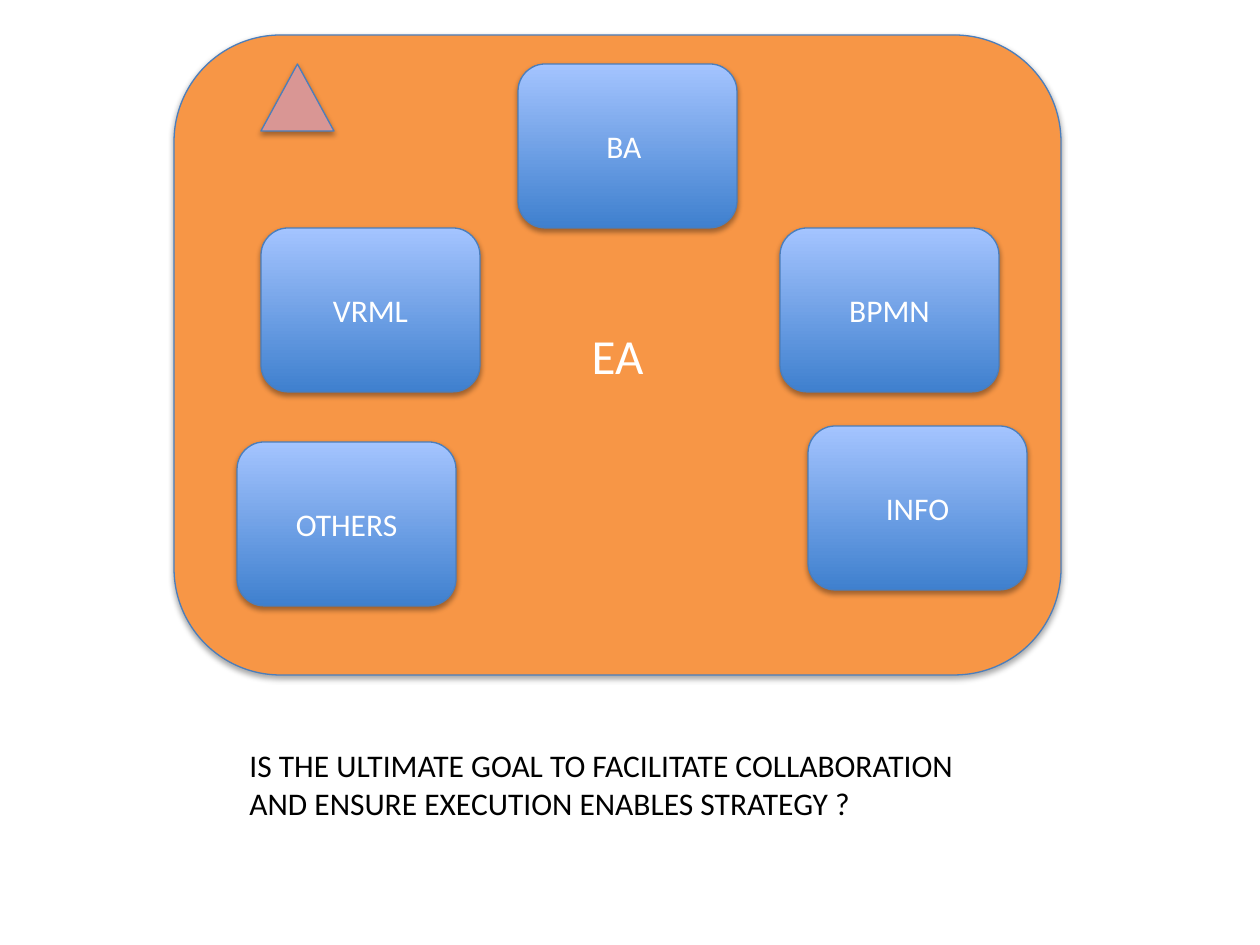
from dataclasses import dataclass

from lxml.etree import SubElement
from pptx import Presentation
from pptx.dml.color import RGBColor
from pptx.enum.shapes import MSO_SHAPE as Shape
from pptx.enum.text import MSO_ANCHOR as Anchor, MSO_AUTO_SIZE as AutoSize, PP_ALIGN as Align
from pptx.oxml.ns import qn
from pptx.util import Emu, Pt

PX = 914400 / 126


@dataclass(frozen=True)
class Theme:
    font: str = "Calibri"
    panel: str = "F79646"
    marker: str = "D99694"
    card_bottom: str = "3F80CE"
    card_top: str = "A4C4FF"
    outline: str = "4B7EBC"
    light: str = "FFFFFF"
    dark: str = "000000"
    heading: int = 28
    body: int = 18


THEME = Theme()
CARD_SIZE = (219, 164)
CARDS = [
    ("BA ", 518, 64),
    ("INFO", 808, 426),
    ("VRML", 261, 228),
    ("BPMN", 780, 228),
    ("OTHERS", 237, 442),
]


def px(*lengths):
    return [Emu(round(length * PX)) for length in lengths]


def rgb(color):
    return RGBColor.from_string(color)


def apply_format(target, values):
    for name, value in values.items():
        setattr(target, name, value)


def write_text(shape, text, size, color, align, frame_format):
    frame = shape.text_frame
    apply_format(frame, {"word_wrap": True, **frame_format})
    paragraph = frame.paragraphs[0]
    paragraph.alignment = align
    run = paragraph.add_run()
    run.text = text
    apply_format(run.font, {"name": THEME.font, "size": Pt(size)})
    run.font.color.rgb = rgb(color)


def add_shadow(shape):
    shape.shadow.inherit = False
    effects = shape._element.spPr.find(qn("a:effectLst"))
    shadow = SubElement(effects, qn("a:outerShdw"), blurRad="40000", dist="23000",
                        dir="5400000", rotWithShape="0")
    color = SubElement(shadow, qn("a:srgbClr"), val=THEME.dark)
    SubElement(color, qn("a:alpha"), val="35000")


def fill_gradient(shape, start, end):
    shape.fill.gradient()
    shape.fill.gradient_angle = 90
    for stop, color in zip(shape.fill.gradient_stops, (start, end)):
        stop.color.rgb = rgb(color)


def add_block(slide, preset, box, fill=None, text=None, size=THEME.body):
    """Add an outlined, shadowed shape; without a fill colour it gets the card gradient."""
    shape = slide.shapes.add_shape(preset, *px(*box))
    if fill:
        shape.fill.solid()
        shape.fill.fore_color.rgb = rgb(fill)
    else:
        fill_gradient(shape, THEME.card_bottom, THEME.card_top)
    shape.line.color.rgb = rgb(THEME.outline)
    shape.line.width = Pt(0.75)
    add_shadow(shape)
    if text:
        write_text(shape, text, size, THEME.light, Align.CENTER,
                   {"vertical_anchor": Anchor.MIDDLE})


def add_question(slide, box, text):
    shape = slide.shapes.add_textbox(*px(*box))
    write_text(shape, text, THEME.body, THEME.dark, Align.LEFT,
               {"auto_size": AutoSize.SHAPE_TO_FIT_TEXT})


def main():
    presentation = Presentation()
    presentation.slide_width, presentation.slide_height = px(1260, 945)
    slide = presentation.slides.add_slide(presentation.slide_layouts[6])

    # Enclosing panel
    add_block(slide, Shape.ROUNDED_RECTANGLE, (174, 35, 887, 640),
              THEME.panel, "EA", THEME.heading)

    # Cards on the panel
    for label, left, top in CARDS:
        add_block(slide, Shape.ROUNDED_RECTANGLE, (left, top, *CARD_SIZE), text=label)

    # Corner marker
    add_block(slide, Shape.ISOSCELES_TRIANGLE, (261, 64, 73, 67), THEME.marker)

    # Closing question
    add_question(slide, (237, 740, 762, 89),
                 "IS THE ULTIMATE GOAL TO FACILITATE COLLABORATION "
                 "AND ENSURE EXECUTION ENABLES STRATEGY ?")

    presentation.save("out.pptx")


if __name__ == "__main__":
    main()
